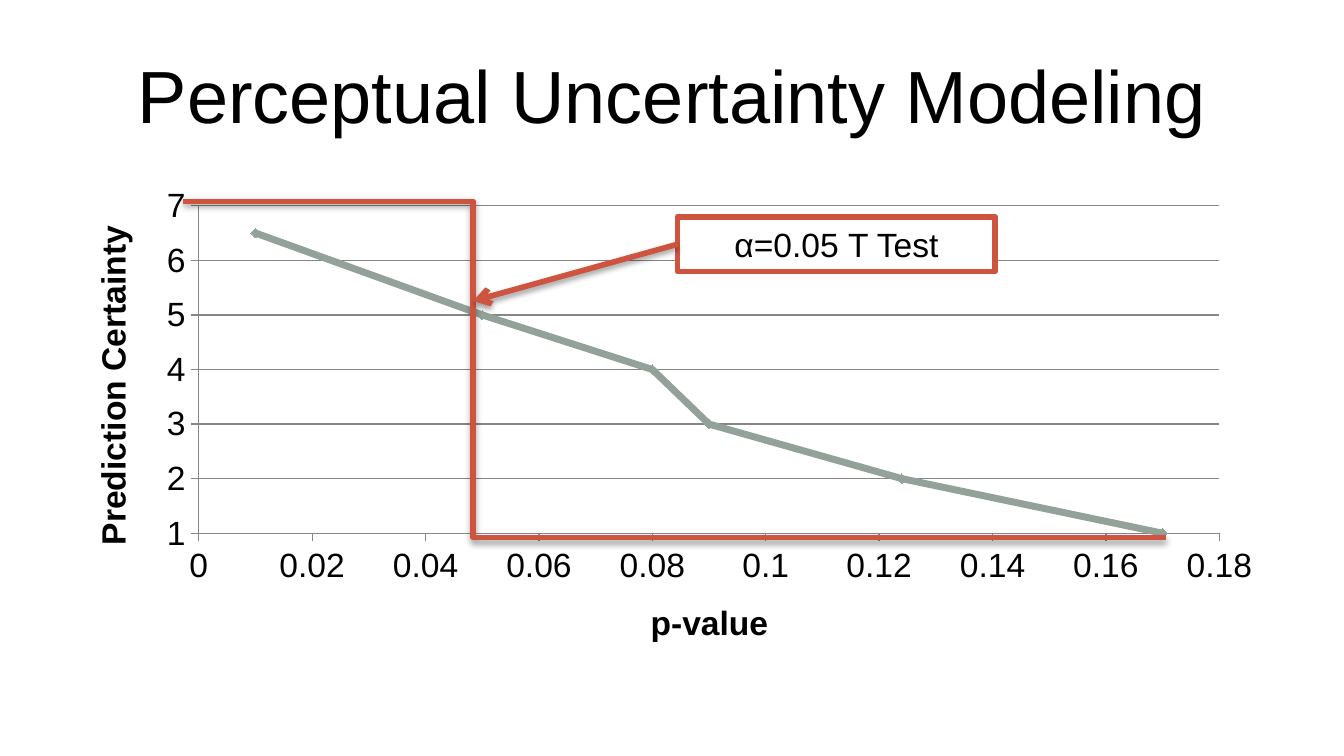
from dataclasses import dataclass
from typing import NamedTuple

from lxml import etree
from pptx import Presentation
from pptx import util as u
from pptx.chart import data as chart_data
from pptx.dml.color import RGBColor
from pptx.enum import chart as ch, shapes, text
from pptx.oxml import parse_xml
from pptx.oxml import ns

EMU_PER_PX = 9525  # 96 px to the inch


@dataclass(frozen=True)
class Theme:
    font: str = "Arial"
    title_size: float = 39.6
    body_size: float = 18
    ink: RGBColor = RGBColor(0x00, 0x00, 0x00)
    paper: RGBColor = RGBColor(0xFF, 0xFF, 0xFF)
    curve: RGBColor = RGBColor(0x93, 0xA2, 0x99)
    accent: RGBColor = RGBColor(0xCF, 0x54, 0x3F)
    grid: RGBColor = RGBColor(0x86, 0x86, 0x86)
    curve_width: float = 3.75
    accent_width: float = 3
    grid_width: float = 0.75


class Box(NamedTuple):
    left: int
    top: int
    width: int
    height: int

    def emu(self) -> list[int]:
        return [px(v) for v in self]


class Point(NamedTuple):
    x: int
    y: int


class AxisSpec(NamedTuple):
    title: str
    low: float
    high: float
    step: float
    grid: bool


THEME = Theme()
SLIDE = Point(960, 540)
TITLE = Box(48, 22, 864, 90)
CHART = Box(48, 126, 864, 356)
PLOT = Box(142, 147, 729, 234)
LABEL = Box(484, 155, 227, 39)
STEP_START, STEP_END = Point(131, 144), Point(833, 384)
THRESHOLD = Point(338, 215)

P_AXIS = AxisSpec("p-value", 0, 0.18, 0.02, False)
CERTAINTY_AXIS = AxisSpec("Prediction Certainty", 1, 7, 1, True)
CERTAINTY = [(0.01, 6.5), (0.05, 5), (0.08, 4), (0.09, 3), (0.124, 2), (0.17, 1)]


def px(value: int) -> int:
    return value * EMU_PER_PX


def set_font(font, size: float, bold: bool = False) -> None:
    font.name, font.size, font.bold = THEME.font, u.Pt(size), bold
    font.color.rgb = THEME.ink


def set_line(line, color: RGBColor, width: float) -> None:
    line.color.rgb = color
    line.width = u.Pt(width)


def write_centred(tf, wording: str, size: float) -> None:
    tf.word_wrap = True
    tf.vertical_anchor = text.MSO_ANCHOR.MIDDLE
    p = tf.paragraphs[0]
    p.text = wording
    p.alignment = text.PP_ALIGN.CENTER
    set_font(p.font, size)


def style_axis(axis, spec: AxisSpec) -> None:
    axis.minimum_scale, axis.maximum_scale = spec.low, spec.high
    axis.major_unit = spec.step
    axis.has_major_gridlines = spec.grid
    if spec.grid:
        set_line(axis.major_gridlines.format.line, THEME.grid, THEME.grid_width)
    axis.major_tick_mark = ch.XL_TICK_MARK.OUTSIDE
    axis.minor_tick_mark = ch.XL_TICK_MARK.NONE
    axis.tick_labels.number_format = "General"
    axis.tick_labels.number_format_is_linked = False
    set_line(axis.format.line, THEME.grid, THEME.grid_width)
    p = axis.axis_title.text_frame.paragraphs[0]
    p.text = spec.title
    set_font(p.font, THEME.body_size, bold=True)


def fix_plot_area(chart) -> None:
    """Place the inner plot rectangle at PLOT within CHART."""
    fractions = {
        "x": (PLOT.left - CHART.left) / CHART.width,
        "y": (PLOT.top - CHART.top) / CHART.height,
        "w": PLOT.width / CHART.width,
        "h": PLOT.height / CHART.height,
    }
    modes = '<c:layoutTarget val="inner"/><c:xMode val="edge"/><c:yMode val="edge"/>'
    values = "".join(f'<c:{k} val="{v:.4f}"/>' for k, v in fractions.items())
    area = chart._chartSpace.chart.plotArea
    for old in area.findall(ns.qn("c:layout")):
        area.remove(old)
    area.insert(0, parse_xml(
        f'<c:layout {ns.nsdecls("c")}><c:manualLayout>{modes}{values}'
        "</c:manualLayout></c:layout>"))


def add_certainty_chart(s) -> None:
    data = chart_data.XyChartData()
    points = data.add_series("Series 1")
    for p_value, certainty in CERTAINTY:
        points.add_data_point(p_value, certainty)
    chart = s.shapes.add_chart(
        ch.XL_CHART_TYPE.XY_SCATTER_LINES, *CHART.emu(), data).chart
    set_font(chart.font, THEME.body_size)
    chart.has_title = chart.has_legend = False
    chart.plots[0].vary_by_categories = False
    style_axis(chart.category_axis, P_AXIS)
    style_axis(chart.value_axis, CERTAINTY_AXIS)
    body = chart.value_axis.axis_title.text_frame._txBody.bodyPr
    body.set("rot", "-5400000")
    body.set("vert", "horz")
    fix_plot_area(chart)

    curve = chart.plots[0].series[0]
    set_line(curve.format.line, THEME.curve, THEME.curve_width)
    curve.marker.style = ch.XL_MARKER_STYLE.DIAMOND
    curve.marker.size = 5
    curve.marker.format.fill.solid()
    curve.marker.format.fill.fore_color.rgb = THEME.curve
    curve.marker.format.line.fill.background()


def add_accent_line(s, kind: shapes.MSO_CONNECTOR, start: Point, end: Point):
    """Add a connector in the accent colour with a soft shadow below it."""
    line = s.shapes.add_connector(kind, *(px(v) for v in (*start, *end)))
    set_line(line.line, THEME.accent, THEME.accent_width)
    line._element.spPr.append(parse_xml(
        f'<a:effectLst {ns.nsdecls("a")}>'
        '<a:outerShdw blurRad="40000" dist="20000" dir="5400000" rotWithShape="0">'
        '<a:srgbClr val="000000"><a:alpha val="38000"/></a:srgbClr>'
        "</a:outerShdw></a:effectLst>"))
    return line


def add_threshold_step(s) -> None:
    step = add_accent_line(s, shapes.MSO_CONNECTOR.ELBOW, STEP_START, STEP_END)
    bend = (THRESHOLD.x - STEP_START.x) / (STEP_END.x - STEP_START.x)
    guides = step._element.spPr.find(ns.qn("a:prstGeom")).get_or_add_avLst()
    etree.SubElement(guides, ns.qn("a:gd"), name="adj1",
                     fmla=f"val {round(bend * 100000)}")


def add_test_label(s):
    label = s.shapes.add_shape(shapes.MSO_SHAPE.RECTANGLE, *LABEL.emu())
    label.shadow.inherit = False
    label.fill.solid()
    label.fill.fore_color.rgb = THEME.paper
    set_line(label.line, THEME.accent, THEME.accent_width)
    etree.SubElement(label.line._get_or_add_ln(), ns.qn("a:round"))
    write_centred(label.text_frame, "α=0.05 T Test", THEME.body_size)
    return label


def add_arrow_from(s, label) -> None:
    start = Point(LABEL.left, LABEL.top + LABEL.height // 2)
    arrow = add_accent_line(s, shapes.MSO_CONNECTOR.STRAIGHT, start, THRESHOLD)
    arrow.begin_connect(label, 1)
    etree.SubElement(arrow.line._get_or_add_ln(), ns.qn("a:tailEnd"), type="arrow")


def main() -> None:
    prs = Presentation()
    prs.slide_width, prs.slide_height = (px(v) for v in SLIDE)
    s = prs.slides.add_slide(prs.slide_layouts[5])
    title = s.shapes.title
    title.left, title.top, title.width, title.height = TITLE.emu()
    write_centred(title.text_frame, "Perceptual Uncertainty Modeling", THEME.title_size)
    add_certainty_chart(s)
    add_threshold_step(s)
    add_arrow_from(s, add_test_label(s))
    prs.save("out.pptx")


if __name__ == "__main__":
    main()
